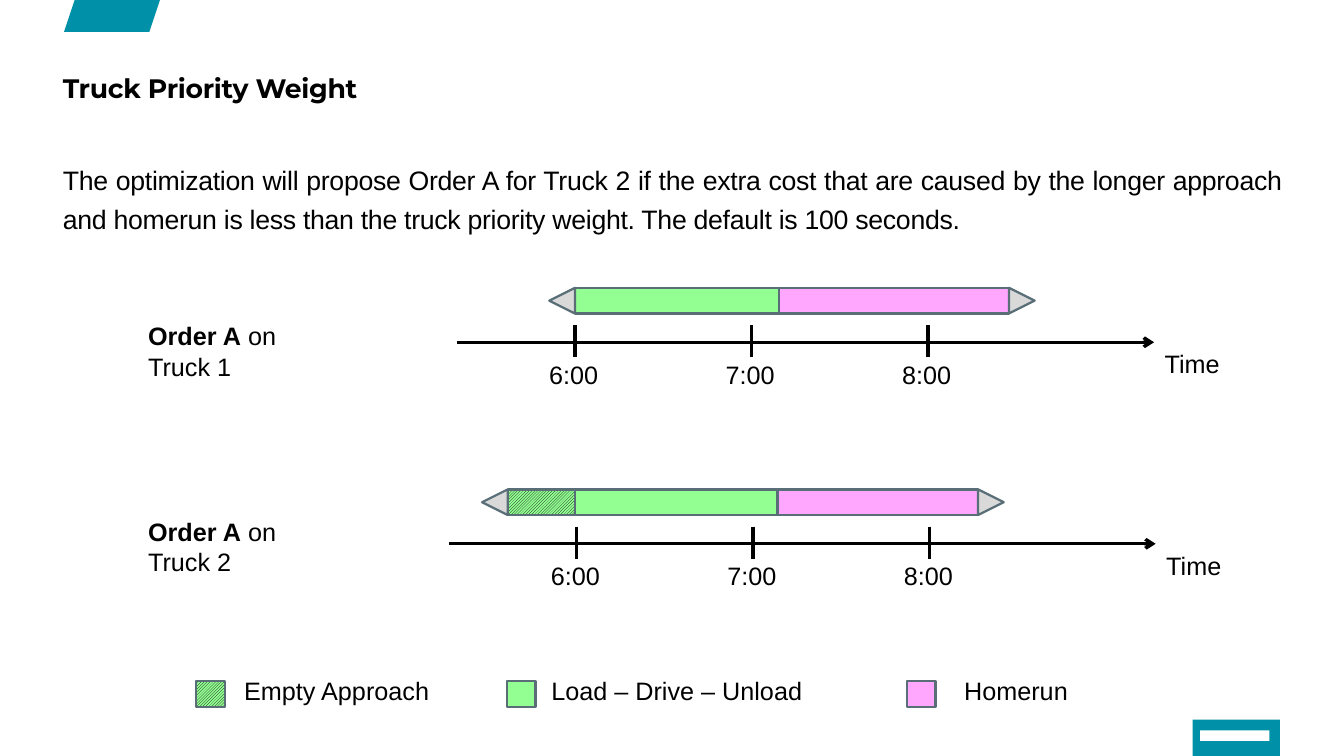
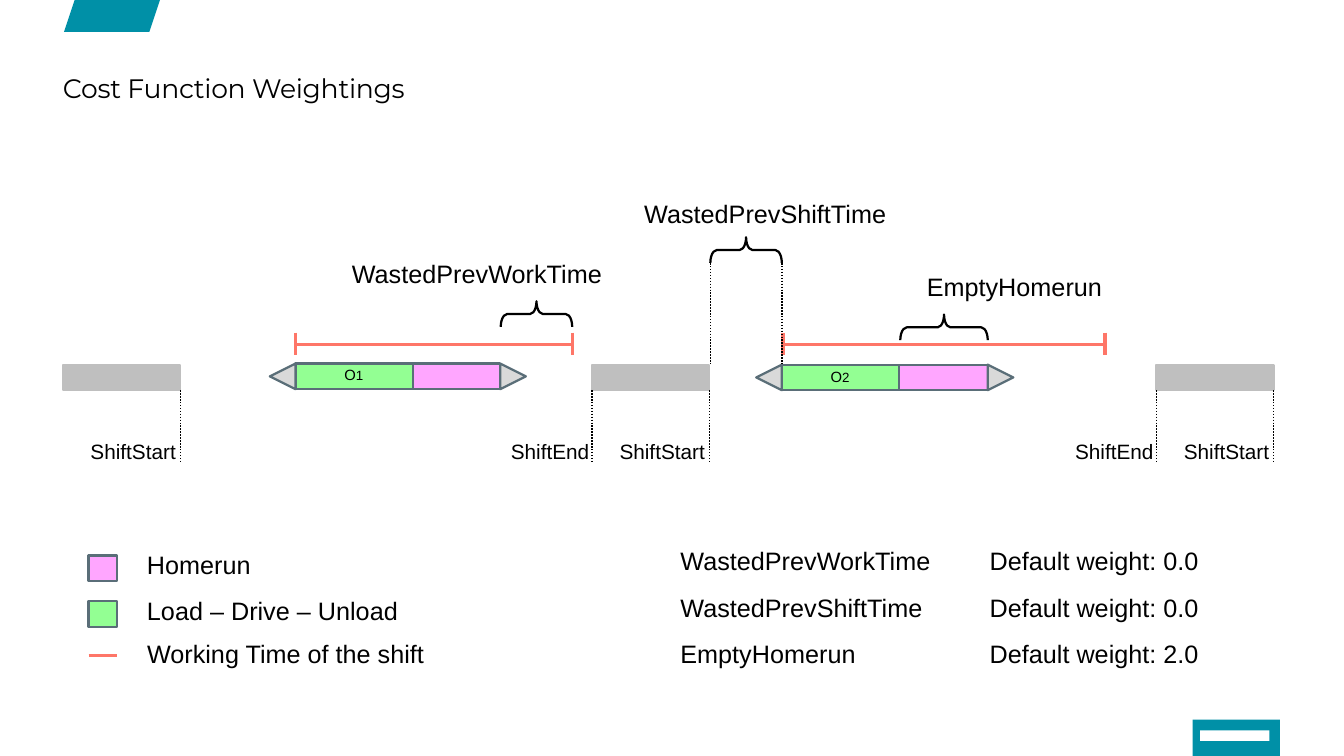
from dataclasses import dataclass
from typing import Optional, Sequence

from lxml import etree
from pptx import Presentation
from pptx import util as u
from pptx.dml.color import RGBColor
from pptx.enum import dml, shapes, text
from pptx.oxml import ns

COLUMNS, ROWS = 126, 70.9
CELL = u.Inches(0.1)

TEAL = RGBColor(0x00, 0x90, 0xA7)
WHITE = RGBColor(0xFF, 0xFF, 0xFF)
BLACK = RGBColor(0x00, 0x00, 0x00)
SLATE = RGBColor(0x5A, 0x6E, 0x78)
GREEN = RGBColor(0x93, 0xFF, 0x93)
PINK = RGBColor(0xFF, 0xA6, 0xFF)
SILVER = RGBColor(0xD9, 0xD9, 0xD9)
GREY = RGBColor(0xBF, 0xBF, 0xBF)
CORAL = RGBColor(0xFE, 0x76, 0x68)

BODY_FONT, TITLE_FONT = "Arial", "Montserrat"
MARGIN = 5.9
BAR_HEIGHT = 2.4
LABEL_HEIGHT = 4.4


@dataclass(frozen=True)
class Run:
    text: str
    bold: bool = False
    size: Optional[float] = None


@dataclass(frozen=True)
class Segment:
    start: float
    end: float
    fill: RGBColor
    hatched: bool = False


@dataclass(frozen=True)
class Timeline:
    truck: str
    label_row: float
    bar_row: float
    axis_start: float
    first_tick: float
    segments: Sequence[Segment]


@dataclass(frozen=True)
class LegendKey:
    column: float
    row: float
    label_column: float
    label: str
    fill: RGBColor
    hatched: bool = False


@dataclass(frozen=True)
class Tour:
    number: str
    row: float
    start: float
    homerun: float
    end: float


@dataclass(frozen=True)
class Break:
    start: float
    end: float
    ends_shift: bool


@dataclass(frozen=True)
class Brace:
    label: str
    label_column: float
    label_row: float
    start: float
    end: float
    row: float


TIMELINES = (
    Timeline("Truck 1", 29.6, 27, 42.8, 53.9,
             (Segment(53.9, 73, GREEN), Segment(73, 94.6, PINK))),
    Timeline("Truck 2", 47.9, 45.9, 42.1, 54.05,
             (Segment(47.6, 53.9, GREEN, True), Segment(53.9, 72.9, GREEN),
              Segment(72.9, 91.7, PINK))),
)
ORDER_KEYS = (
    LegendKey(18.4, 63.9, 21.9, "Empty Approach", GREEN, True),
    LegendKey(47.5, 63.9, 50.7, "Load – Drive – Unload", GREEN),
    LegendKey(85, 63.9, 89.4, "Homerun", PINK),
)
COST_KEYS = (
    LegendKey(8.3, 52.1, 12.8, "Homerun", PINK),
    LegendKey(8.3, 56.4, 12.8, "Load – Drive – Unload", GREEN),
)
TOURS = (Tour("1", 34.1, 27.7, 38.7, 46.9), Tour("2", 34.2, 73.3, 84.3, 92.6))
BREAKS = (Break(5.9, 16.9, False), Break(55.5, 66.5, True), Break(108.4, 119.4, True))
WORK_SPANS = ((27.7, 53.7), (73.4, 103.6))
BRACES = (
    Brace("WastedPrevWorkTime", 32, 23.7, 46.95, 53.65, 28.25),
    Brace("WastedPrevShiftTime", 59.4, 18.1, 66.6, 73.3, 22.25),
    Brace("EmptyHomerun", 85.9, 25, 84.4, 92.6, 29.5),
)
WEIGHTS = (("WastedPrevWorkTime", "0.0"), ("WastedPrevShiftTime", "0.0"),
           ("EmptyHomerun", "2.0"))


def cells(count: float) -> u.Emu:
    return u.Emu(round(count * CELL))


def put_text(slide, content, left: float, top: float, width: float, height: float = LABEL_HEIGHT,
             *, size: float = 17, font: str = BODY_FONT, bold: bool = False,
             inset: bool = True, spacing: Optional[float] = None,
             tracking: int = 0, align=text.PP_ALIGN.LEFT,
             anchor=text.MSO_ANCHOR.TOP) -> None:
    box = slide.shapes.add_textbox(cells(left), cells(top), cells(width), cells(height))
    frame = box.text_frame
    frame.word_wrap = True
    frame.vertical_anchor = anchor
    if not inset:
        frame.margin_left = frame.margin_right = frame.margin_top = frame.margin_bottom = 0
    lines = [[Run(content, bold)]] if isinstance(content, str) else content
    for index, line in enumerate(lines):
        paragraph = frame.add_paragraph() if index else frame.paragraphs[0]
        paragraph.alignment = align
        if spacing:
            paragraph.line_spacing = spacing
        for part in line:
            run = paragraph.add_run()
            run.text = part.text
            run.font.name = font
            run.font.size = u.Pt(part.size or size)
            run.font.bold = part.bold
            run.font.color.rgb = BLACK
            if tracking:
                run._r.get_or_add_rPr().set("spc", str(tracking))


def paint(shape, fill: Optional[RGBColor], line: Optional[RGBColor] = None,
          hatched: bool = False) -> None:
    shape.shadow.inherit = False
    if hatched:
        shape.fill.patterned()
        shape.fill.pattern = dml.MSO_PATTERN.LIGHT_UPWARD_DIAGONAL
        shape.fill.fore_color.rgb = BLACK
        shape.fill.back_color.rgb = fill
    elif fill is None:
        shape.fill.background()
    else:
        shape.fill.solid()
        shape.fill.fore_color.rgb = fill
    if line is None:
        shape.line.fill.background()
    else:
        shape.line.color.rgb = line
        shape.line.width = u.Pt(1.5)


def draw_shape(slide, kind, left: float, top: float, width: float, height: float,
               fill: Optional[RGBColor], line: Optional[RGBColor] = None,
               hatched: bool = False, rotation: float = 0):
    shape = slide.shapes.add_shape(kind, cells(left), cells(top), cells(width), cells(height))
    shape.rotation = rotation
    paint(shape, fill, line, hatched)
    return shape


def draw_box(slide, left: float, top: float, width: float, height: float,
             fill: RGBColor, line: Optional[RGBColor] = None, hatched: bool = False) -> None:
    draw_shape(slide, shapes.MSO_SHAPE.RECTANGLE, left, top, width, height, fill, line, hatched)


def draw_line(slide, x1: float, y1: float, x2: float, y2: float, color: RGBColor = BLACK,
              width: float = 2.25, dotted: bool = False, arrow: bool = False) -> None:
    connector = slide.shapes.add_connector(
        shapes.MSO_CONNECTOR.STRAIGHT, cells(x1), cells(y1), cells(x2), cells(y2))
    connector.line.color.rgb = color
    connector.line.width = u.Pt(width)
    if dotted:
        connector.line.dash_style = dml.MSO_LINE.ROUND_DOT
    properties = connector._element.spPr
    if arrow:
        etree.SubElement(properties.find(ns.qn("a:ln")), ns.qn("a:tailEnd"), type="arrow")
    etree.SubElement(properties, ns.qn("a:effectLst"))


def draw_bar(slide, row: float, segments: Sequence[Segment]) -> None:
    for segment in segments:
        draw_box(slide, segment.start, row, segment.end - segment.start, BAR_HEIGHT,
                 segment.fill, SLATE, segment.hatched)
    for left, rotation in ((segments[0].start - BAR_HEIGHT, 270), (segments[-1].end, 90)):
        draw_shape(slide, shapes.MSO_SHAPE.ISOSCELES_TRIANGLE, left, row, BAR_HEIGHT,
                   BAR_HEIGHT, SILVER, SLATE, rotation=rotation)


def draw_brace(slide, brace: Brace) -> None:
    span = brace.end - brace.start
    left = (brace.start + brace.end - BAR_HEIGHT) / 2
    top = brace.row + (BAR_HEIGHT - span) / 2
    shape = draw_shape(slide, shapes.MSO_SHAPE.RIGHT_BRACE, left, top, BAR_HEIGHT, span,
                       None, BLACK, rotation=270)
    shape.adjustments[0] = 0.25
    shape.adjustments[1] = 0.5
    put_text(slide, brace.label, brace.label_column, brace.label_row, 29.8)


def draw_key(slide, key: LegendKey) -> None:
    draw_box(slide, key.column, key.row, 2.7, BAR_HEIGHT, key.fill, SLATE, key.hatched)
    put_text(slide, key.label, key.label_column, key.row - 1.05, 30)


def draw_timeline(slide, timeline: Timeline) -> None:
    top = timeline.bar_row
    axis, axis_end = top + 5.1, timeline.first_tick + 54.3
    draw_bar(slide, top, timeline.segments)
    put_text(slide, [[Run("Order A", True), Run(" on")], [Run(timeline.truck)]],
             12.9, timeline.label_row, 17.3, 6.7)
    draw_line(slide, timeline.axis_start, axis, axis_end, axis, arrow=True)
    for index, hour in enumerate(("6:00", "7:00", "8:00")):
        tick = timeline.first_tick + 16.55 * index
        draw_line(slide, tick, top + 3.5, tick, top + 6.5)
        put_text(slide, hour, tick - 3.4, top + 6.2, 7.2, 3.9)
    put_text(slide, "Time", axis_end, top + 5.2, 11.8)


def draw_tour(slide, tour: Tour) -> None:
    draw_bar(slide, tour.row, (Segment(tour.start, tour.homerun, GREEN),
                               Segment(tour.homerun, tour.end, PINK)))
    put_text(slide, [[Run("O", size=10), Run(tour.number, size=9)]],
             tour.start + 3.6, tour.row - 0.3, 5, 2.7, anchor=text.MSO_ANCHOR.BOTTOM)


def draw_break(slide, pause: Break) -> None:
    row = 34.2
    draw_box(slide, pause.start, row, pause.end - pause.start, BAR_HEIGHT, GREY, GREY)
    marks = [("ShiftStart", pause.end, 9.4)]
    if pause.ends_shift:
        marks.append(("ShiftEnd", pause.start, 8.6))
    for label, column, offset in marks:
        draw_line(slide, column, row + BAR_HEIGHT, column, 43.4, width=1, dotted=True)
        put_text(slide, label, column - offset, 40.7, offset + 1.2, 3.4, size=14)


def draw_work_span(slide, start: float, end: float) -> None:
    draw_line(slide, start, 32.3, end, 32.3, CORAL)
    for column in (start, end):
        draw_line(slide, column, 31.2, column, 33.3, CORAL)


def add_slide(presentation, title: str, bold: bool = False):
    slide = presentation.slides.add_slide(presentation.slide_layouts[6])
    builder = slide.shapes.build_freeform(6.8, 0, scale=CELL)
    builder.add_line_segments(((MARGIN, 3.1), (14.2, 3.1), (15, 0)), close=True)
    paint(builder.convert_to_shape(), TEAL)
    draw_box(slide, 111.8, 67.5, 8.2, 3.4, TEAL)
    draw_box(slide, 112.5, 68.5, 6.5, 1, WHITE)
    put_text(slide, title, MARGIN, 6.7, 76, 6.7, size=18, font=TITLE_FONT, bold=bold,
             inset=False, tracking=-20)
    return slide


def build_priority_slide(presentation) -> None:
    slide = add_slide(presentation, "Truck Priority Weight", bold=True)
    put_text(slide, "The optimization will propose Order A for Truck 2 if the extra cost that are "
             "caused by the longer approach and homerun is less than the truck priority weight. "
             "The default is 100 seconds.", MARGIN, 14.8, 114.3, 48.6, size=18, inset=False,
             spacing=1.2, tracking=-20, align=text.PP_ALIGN.JUSTIFY)
    for timeline in TIMELINES:
        draw_timeline(slide, timeline)
    for key in ORDER_KEYS:
        draw_key(slide, key)


def build_cost_slide(presentation) -> None:
    slide = add_slide(presentation, "Cost Function Weightings")
    for pause in BREAKS:
        draw_break(slide, pause)
    for tour in TOURS:
        draw_tour(slide, tour)
    for start, end in WORK_SPANS:
        draw_work_span(slide, start, end)
    for brace in BRACES:
        draw_brace(slide, brace)
    for column in (66.6, 73.3):
        draw_line(slide, column, 24.4, column, 34.2, width=1, dotted=True)
    for key in COST_KEYS:
        draw_key(slide, key)
    draw_line(slide, 8.3, 61.5, 11, 61.5, CORAL)
    put_text(slide, "Working Time of the shift", 12.8, 59.4, 32.8)
    for index, (name, weight) in enumerate(WEIGHTS):
        row = 50.7 + 4.35 * index
        put_text(slide, name, 62.8, row, 29.8)
        put_text(slide, f"Default weight: {weight}", 91.8, row, 25.2)


def main() -> None:
    presentation = Presentation()
    presentation.slide_width, presentation.slide_height = cells(COLUMNS), cells(ROWS)
    build_priority_slide(presentation)
    build_cost_slide(presentation)
    presentation.save("out.pptx")


if __name__ == "__main__":
    main()
